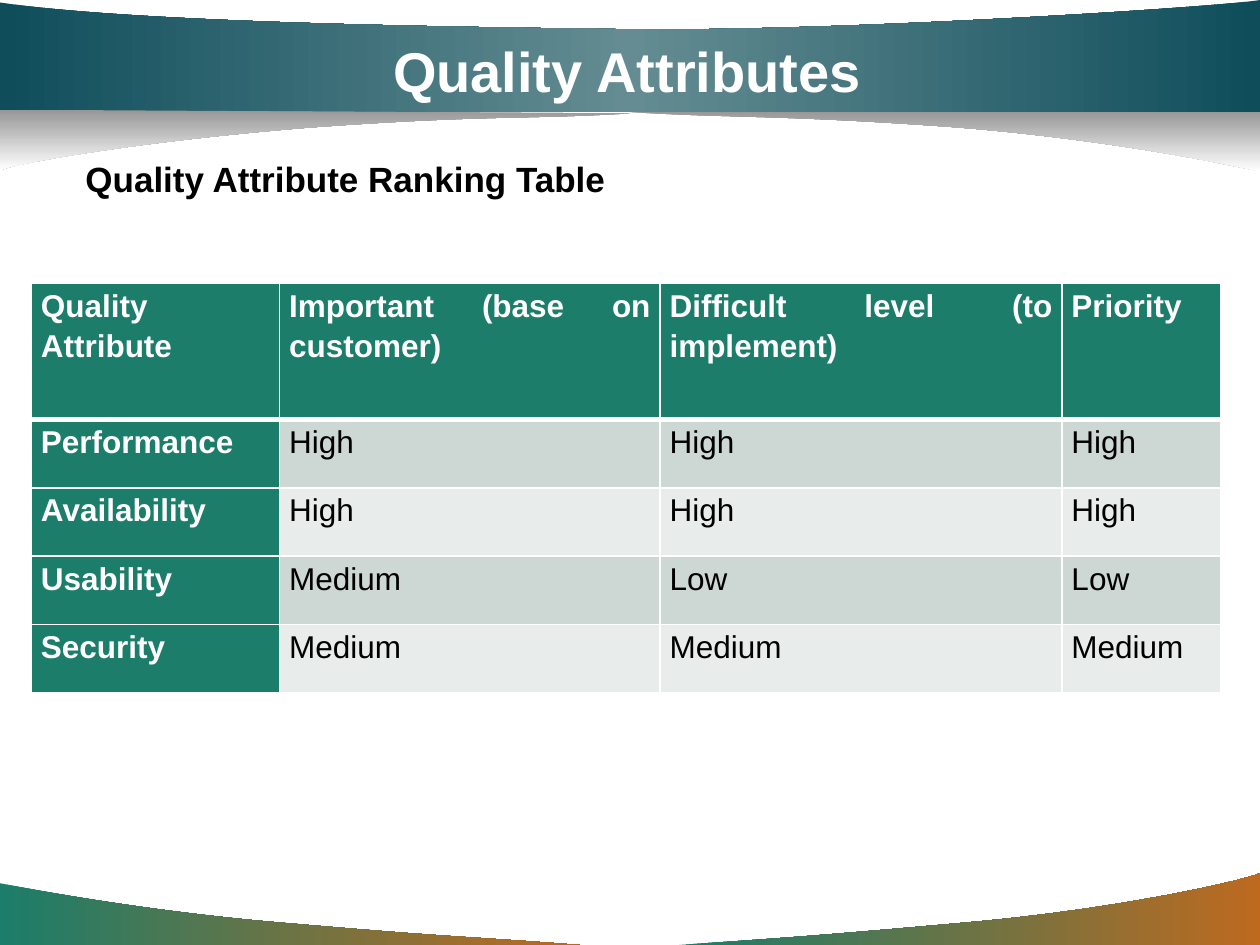
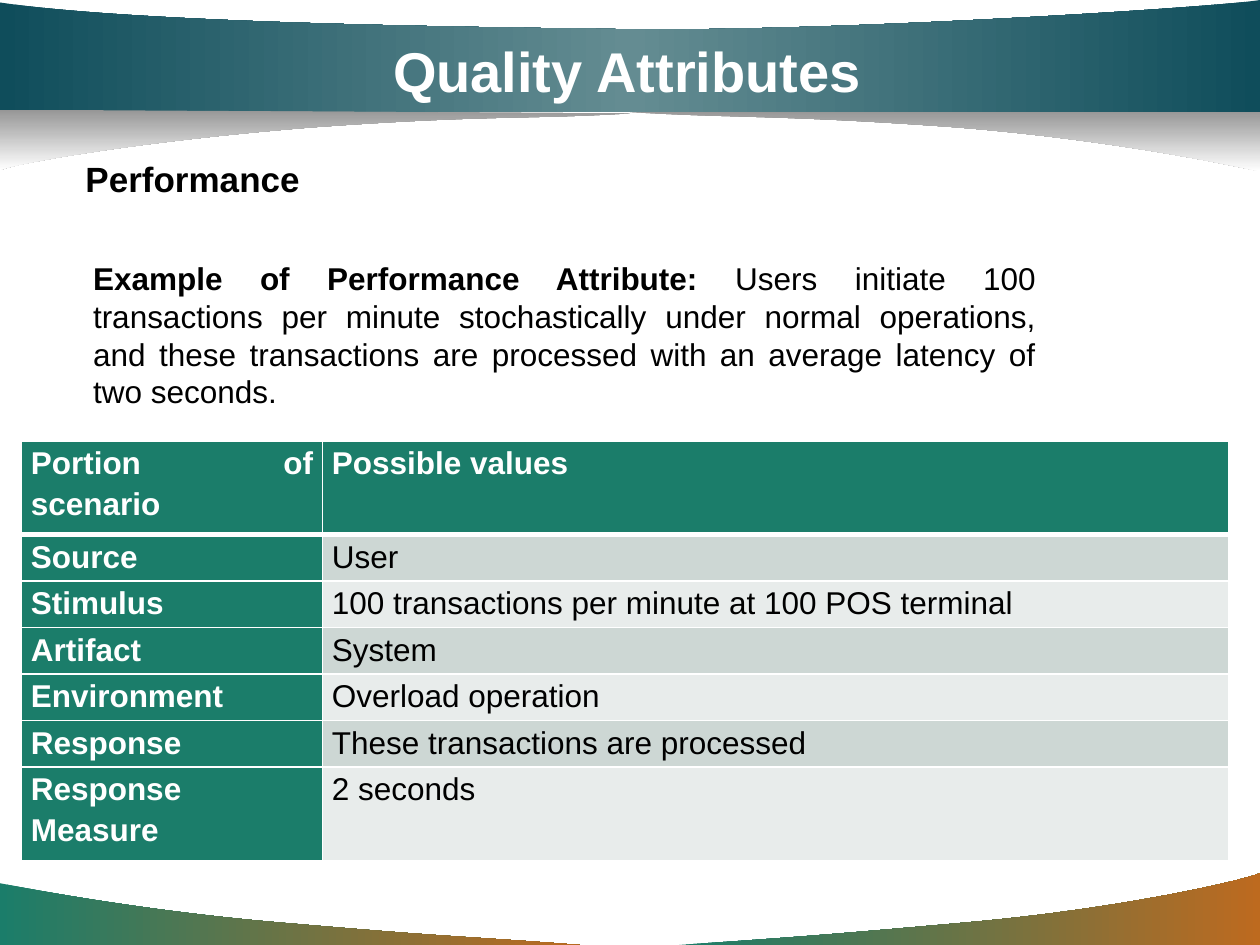
"""Builds two slides on quality attributes."""
from copy import deepcopy

from lxml import etree
from pptx import Presentation
from pptx.dml.color import RGBColor
from pptx.enum.text import MSO_ANCHOR, MSO_AUTO_SIZE, PP_ALIGN
from pptx.oxml.ns import qn
from pptx.util import Inches, Pt

LEFT, MID, JUST = PP_ALIGN.LEFT, PP_ALIGN.CENTER, PP_ALIGN.JUSTIFY
CENTER = MSO_ANCHOR.MIDDLE
FIXED, GROW = MSO_AUTO_SIZE.NONE, MSO_AUTO_SIZE.SHAPE_TO_FIT_TEXT
FONT = "Arial"
HUES = {
    "white": "FFFFFF", "black": "000000", "green": "1B7D6A",
    "rust": "BD6A1F", "grey": "969696", "teal": "0F4D5B",
    "mist": "648C92", "dark": "CDD7D4", "light": "E8ECEB",
}
FOOT, SHADE, BAND = ("green", "rust"), ("grey", "white"), ("teal", "mist", "teal")
WAVES = [
    (FOOT, 0, [(4.6, 7.5), (3.84, 7.44, 3.58, 7.44, 2.32, 7.33),
               (1.06, 7.23, 0.01, 7.01, 0, 7.01), (0, 7.5)]),
    (FOOT, 0, [(5.39, 7.5), (6.14, 7.45, 6.46, 7.43, 7.69, 7.32),
               (8.92, 7.21, 9.9, 6.98, 10, 6.93), (10, 7.5)]),
    (SHADE, 270, [(5, 0.89), (5.84, 0.94, 6.2, 0.91, 7.58, 1.01),
                  (8.97, 1.12, 9.98, 1.36, 10, 1.36), (10, 0.88)]),
    (BAND, 0, [(0, 0.89), (10, 0.89), (10, 0), (9.64, 0.06, 6.53, 0.26, 4.87, 0.23),
               (3.21, 0.21, 1.01, 0.17, 0, 0.02)]),
    (SHADE, 270, [(5, 0.9), (4.16, 0.95, 3.88, 0.91, 2.49, 1.01),
                  (1.1, 1.12, 0.11, 1.3, 0, 1.35), (0, 0.87)]),
]
RANKS = [
    ["Quality Attribute", "Important (base on customer)",
     "Difficult level (to implement)", "Priority "],
    ["Performance", "High", "High", "High"],
    ["Availability", "High", "High", "High"],
    ["Usability", "Medium", "Low", "Low"],
    ["Security", "Medium", "Medium", "Medium"],
]
PARTS = [
    ["Portion of scenario", "Possible values"],
    ["Source", "User "],
    ["Stimulus", "100 transactions per minute at 100 POS terminal"],
    ["Artifact", "System"],
    ["Environment", "Overload operation"],
    ["Response", "These transactions are processed"],
    ["Response Measure", "2 seconds"],
]


def rgb(hue):
    return RGBColor.from_string(HUES[hue])


def put(para, text, size=18, hue="black", bold=False, align=LEFT):
    run = para.add_run()
    run.text = text
    font = run.font
    font.name, font.size, font.bold = FONT, Pt(size), bold
    font.color.rgb = rgb(hue)
    para.alignment = align


def bend(shape, path):
    lines = iter(shape.element.spPr.findall(".//" + qn("a:lnTo")))
    for part in path[1:]:
        first = next(lines)
        if len(part) == 6:
            curve = etree.Element(qn("a:cubicBezTo"))
            first.addprevious(curve)
            for line in (first, next(lines), next(lines)):
                curve.append(line[0])
                line.getparent().remove(line)


def edge(cell, sides):
    props = cell._tc.get_or_add_tcPr()
    for spot, (side, width) in enumerate(sides.items()):
        line = etree.Element(qn(f"a:ln{side}"), w=str(Pt(width)))
        fill = etree.SubElement(line, qn("a:solidFill"))
        etree.SubElement(fill, qn("a:srgbClr"), val=HUES["white"])
        props.insert(spot, line)


class Deck:
    """Holds the shared style and the current slide."""

    def __init__(self):
        self.show = Presentation()
        self.show.slide_width, self.show.slide_height = Inches(10), Inches(7.5)
        self.slide = None

    def page(self, title):
        first = self.slide is None
        self.slide = self.show.slides.add_slide(self.show.slide_layouts[5])
        if first:
            tree = self.show.slide_master.shapes.element
            for spot, wave in enumerate(WAVES, 2):
                tree.insert(spot, self.wave(*wave).element)
        head = self.slide.shapes.title
        head.left, head.top = Inches(0.75), Inches(0.25)
        head.width, head.height = Inches(8.58), Inches(0.62)
        frame = head.text_frame
        frame.auto_size, frame.vertical_anchor = FIXED, CENTER
        put(frame.paragraphs[0], title, size=32, hue="white", bold=True, align=MID)

    def wave(self, hues, angle, path):
        dots = [(Inches(part[i]), Inches(part[i + 1]))
                for part in path for i in range(0, len(part), 2)]
        pen = self.slide.shapes.build_freeform(*dots[0], scale=1.0)
        pen.add_line_segments(dots[1:], close=True)
        shape = pen.convert_to_shape()
        bend(shape, path)
        shape.shadow.inherit = False
        shape.line.fill.background()
        shape.fill.gradient()
        shape.fill.gradient_angle = angle
        stops = shape.element.spPr.find(".//" + qn("a:gsLst"))
        while len(stops) < len(hues):
            stops.insert(1, deepcopy(stops[0]))
        for spot, (stop, hue) in enumerate(zip(shape.fill.gradient_stops, hues)):
            stop.position = spot / (len(hues) - 1)
            stop.color.rgb = rgb(hue)
        return shape

    def text(self, box, runs, wrap=True, **form):
        shape = self.slide.shapes.add_textbox(*map(Inches, box))
        frame = shape.text_frame
        frame.word_wrap, frame.auto_size = wrap, GROW
        frame.vertical_anchor = CENTER
        for words, bold in runs:
            put(frame.paragraphs[0], words, bold=bold, **form)

    def label(self, words, width):
        self.text((0.58, 1.2, width, 0.44), [(words, True)], wrap=False, size=20)

    def table(self, left, top, cols, rows, data):
        box = map(Inches, (left, top, sum(cols), sum(rows)))
        grid = self.slide.shapes.add_table(len(rows), len(cols), *box).table
        grid.first_col = True
        for col, width in zip(grid.columns, cols):
            col.width = Inches(width)
        for row, height in zip(grid.rows, rows):
            row.height = Inches(height)
        for r, line in enumerate(data):
            for c, words in enumerate(line):
                self.cell(grid.cell(r, c), words, r, c)

    def cell(self, cell, words, r, c):
        head = r == 0 or c == 0
        cell.margin_left = cell.margin_right = Pt(5.4)
        cell.margin_top = cell.margin_bottom = 0
        cell.fill.solid()
        cell.fill.fore_color.rgb = rgb("green" if head else "dark" if r % 2 else "light")
        if r == 0:
            edge(cell, {"L": 1, "R": 1, "T": 1, "B": 3})
        para = cell.text_frame.paragraphs[0]
        para.line_spacing, para.space_after = 1.15, Pt(10)
        put(para, words, hue="white" if head else "black", bold=head, align=JUST)


def main():
    deck = Deck()
    deck.page("Quality Attributes ")
    deck.table(0.25, 2.25, [1.97, 3.02, 3.19, 1.26], [1.08] + [2.17 / 4] * 4, RANKS)
    deck.label("Quality Attribute Ranking Table", 4.36)

    deck.page("Quality Attributes ")
    deck.label("Performance", 1.92)
    deck.table(0.17, 3.5, [2.39, 7.19], [0.74] + [0.37] * 5 + [0.74], PARTS)
    deck.text((0.64, 2, 7.68, 1.31), [
        ("Example of Performance Attribute:", True),
        (" Users initiate 100 transactions per minute stochastically under normal "
         "operations, and these transactions are processed with an average latency "
         "of two seconds.", False),
    ], align=JUST)
    deck.show.save("out.pptx")


if __name__ == "__main__":
    main()
